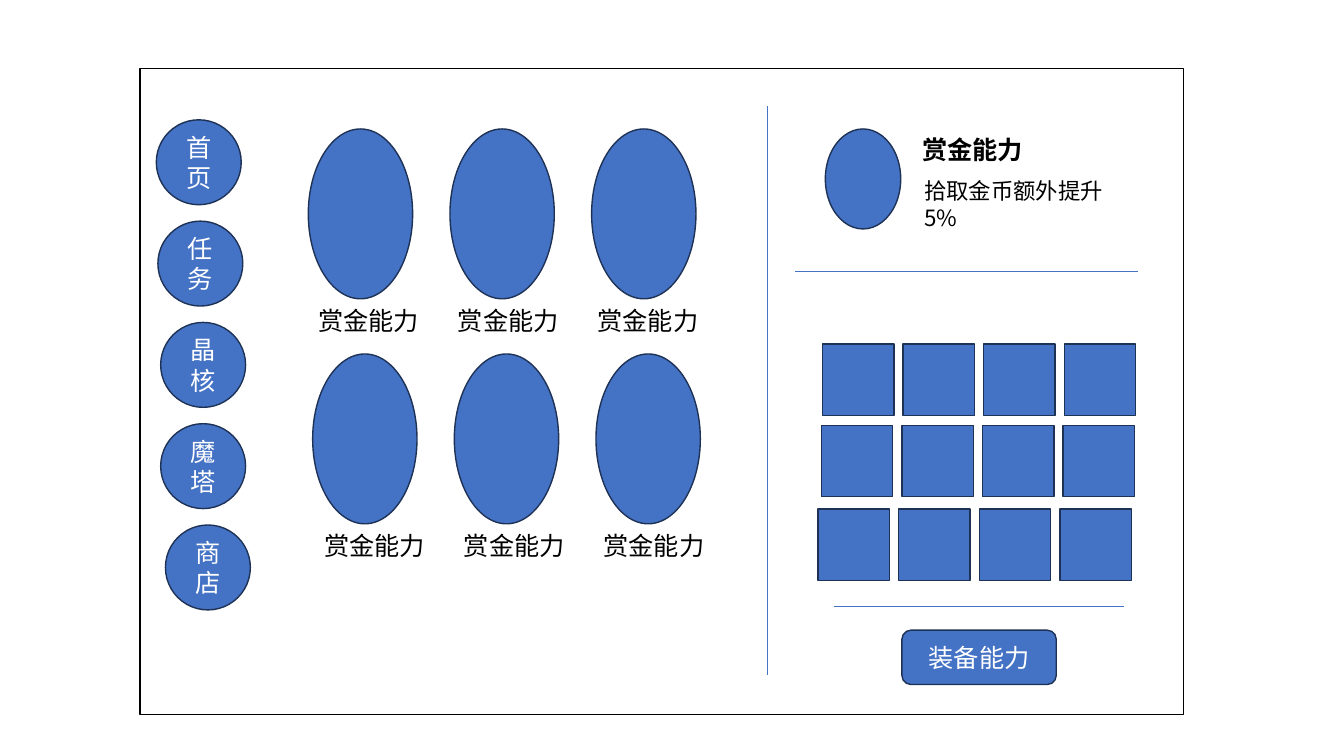
from dataclasses import dataclass

from lxml import etree
from pptx import Presentation
from pptx.dml.color import RGBColor
from pptx.enum.shapes import MSO_CONNECTOR, MSO_SHAPE
from pptx.enum.text import MSO_ANCHOR, PP_ALIGN
from pptx.oxml.ns import qn
from pptx.util import Cm, Pt

RECTANGLE = MSO_SHAPE.RECTANGLE
ROUNDED = MSO_SHAPE.ROUNDED_RECTANGLE
OVAL = MSO_SHAPE.OVAL
STRAIGHT = MSO_CONNECTOR.STRAIGHT
CENTER = PP_ALIGN.CENTER
MIDDLE = MSO_ANCHOR.MIDDLE


@dataclass(frozen=True)
class Theme:
    font: str = "Noto Sans CJK SC"
    fill: RGBColor = RGBColor(0x44, 0x72, 0xC4)
    outline: RGBColor = RGBColor(0x1E, 0x32, 0x56)
    white: RGBColor = RGBColor(0xFF, 0xFF, 0xFF)
    black: RGBColor = RGBColor(0, 0, 0)
    body: Pt = Pt(18)
    detail: Pt = Pt(16)
    border: Pt = Pt(1)
    rule: Pt = Pt(0.5)


@dataclass(frozen=True)
class Box:
    """A region of the slide, in centimetres."""
    left: float
    top: float
    width: float
    height: float

    def inner(self, x, y, width, height):
        return Box(self.left + x, self.top + y, width, height)

    def lengths(self):
        return Cm(self.left), Cm(self.top), Cm(self.width), Cm(self.height)


THEME = Theme()
ABILITY = "赏金能力"


def write(shape, text, color, size=THEME.body, bold=False):
    shape.text_frame.text = text
    for run in shape.text_frame.paragraphs[0].runs:
        run.font.name = THEME.font
        run.font.size = size
        run.font.bold = bold
        run.font.color.rgb = color
        east_asian = etree.SubElement(run.font._element, qn("a:ea"))
        east_asian.set("typeface", THEME.font)


def add_block(slide, kind, box, text="", fill=THEME.fill, outline=THEME.outline):
    shape = slide.shapes.add_shape(kind, *box.lengths())
    shape.shadow.inherit = False
    shape.fill.solid()
    shape.fill.fore_color.rgb = fill
    shape.line.color.rgb = outline
    shape.line.width = THEME.border
    if text:
        write(shape, text, THEME.white)
        shape.text_frame.word_wrap = True
        shape.text_frame.vertical_anchor = MIDDLE
        shape.text_frame.paragraphs[0].alignment = CENTER


def add_label(slide, box, text, size=THEME.body, bold=False, wrap=False):
    label = slide.shapes.add_textbox(*box.lengths())
    label.text_frame.word_wrap = wrap
    write(label, text, THEME.black, size, bold)


def add_rule(slide, box):
    """Draw a line from the box's top left to its bottom right corner."""
    left, top, width, height = box.lengths()
    rule = slide.shapes.add_connector(STRAIGHT, left, top, left + width, top + height)
    rule.line.color.rgb = THEME.fill
    rule.line.width = THEME.rule
    etree.SubElement(rule._element.spPr, qn("a:effectLst"))


def add_menu(slide, box):
    entries = [("首页", 0), ("任务", 0.04), ("晶核", 0.11), ("魔塔", 0.11), ("商店", 0.23)]
    diameter = 2.14
    pitch = (box.height - diameter) / (len(entries) - 1)
    for index, (text, indent) in enumerate(entries):
        add_block(slide, OVAL, box.inner(indent, index * pitch, diameter, diameter), text)


def add_abilities(slide, box):
    # Each row: indent of the ovals, indent of the labels, top
    for oval_indent, label_indent, top in [(0, 0, 0), (0.11, 0.15, 5.67)]:
        for column in range(3):
            oval_left = oval_indent + column * 3.57
            label_left = label_indent + column * 3.52
            add_block(slide, OVAL, box.inner(oval_left, top, 2.63, 4.28))
            add_label(slide, box.inner(label_left, top + 4.32, 3.07, 1.02), ABILITY)


def add_ability_detail(slide, box):
    add_block(slide, OVAL, box.inner(0.76, 0, 1.9, 2.52))
    add_label(slide, box.inner(2.95, 0, 3.07, 1.02), ABILITY, bold=True)
    add_label(slide, box.inner(3, 1.09, 5.66, 0.94), "拾取金币额外提升5%",
              size=THEME.detail, wrap=True)
    add_rule(slide, box.inner(0, box.height, box.width, 0))


def add_inventory(slide, box):
    # Slots: indent and top of each row
    for indent, top in [(0.11, 0), (0.08, 2.05), (0, 4.16)]:
        for column in range(4):
            add_block(slide, RECTANGLE, box.inner(indent + column * 2.03, top, 1.8, 1.8))
    # Rule and button
    add_rule(slide, box.inner(0.41, 6.6, 7.29, 0))
    add_block(slide, ROUNDED, box.inner(2.11, box.height - 1.37, 3.89, 1.37), "装备能力")


def build_ability_screen(slide, box):
    add_block(slide, RECTANGLE, box, fill=THEME.white, outline=THEME.black)
    add_menu(slide, box.inner(0.41, 1.29, 2.37, 12.35))
    add_abilities(slide, box.inner(4.24, 1.52, 10.26, 11.01))
    add_rule(slide, box.inner(15.8, 0.94, 0, 14.35))
    add_ability_detail(slide, box.inner(16.51, 1.52, 8.64, 3.58))
    add_inventory(slide, box.inner(17.09, 6.94, 8, 8.58))


def main():
    presentation = Presentation()
    presentation.slide_width = Cm(33.87)
    presentation.slide_height = Cm(19.05)
    blank_layout = presentation.slide_layouts[6]
    slide = presentation.slides.add_slide(blank_layout)
    build_ability_screen(slide, Box(3.53, 1.73, 26.29, 16.28))
    presentation.save("out.pptx")


if __name__ == "__main__":
    main()
